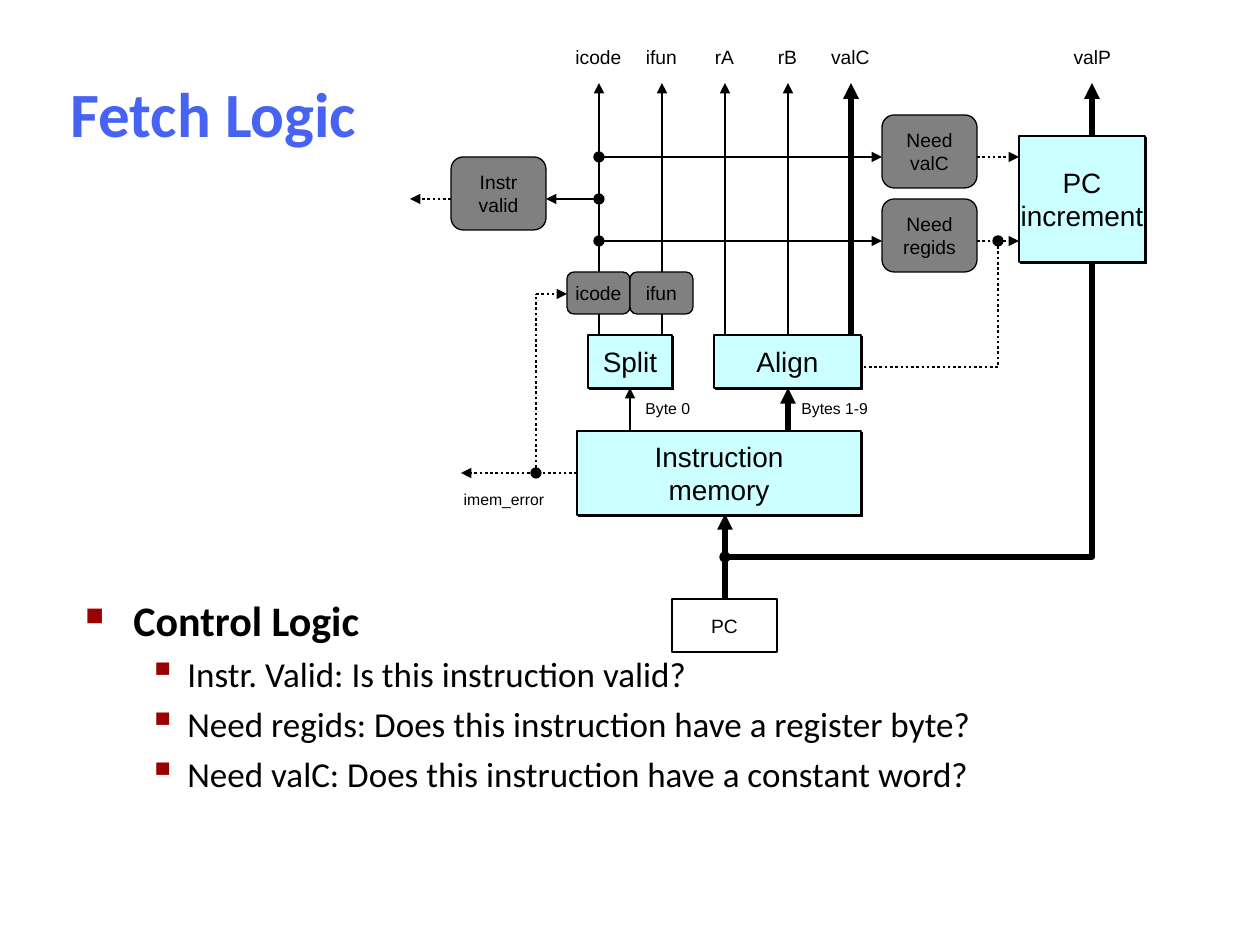
from dataclasses import dataclass
from typing import Optional

from lxml.etree import SubElement
from pptx import Presentation
from pptx.dml.color import RGBColor
from pptx.enum.dml import MSO_LINE
from pptx.enum.shapes import MSO_CONNECTOR, MSO_SHAPE
from pptx.enum.text import MSO_ANCHOR as Anchor, PP_ALIGN as Align
from pptx.oxml.ns import qn
from pptx.util import Emu, Pt

EMU_PER_PX = 914400 / 126
COLORS = {
    "black": "000000",
    "white": "FFFFFF",
    "unit": "CCFFFF",
    "control": "808080",
    "title": "4763F3",
    "bullet": "990000",
}


@dataclass(frozen=True)
class Style:
    shape: MSO_SHAPE
    fill: Optional[str]
    line: float
    size: int
    shadow: bool = False


@dataclass(frozen=True)
class Box:
    text: str
    left: int
    top: int
    width: int
    height: int
    style: Style


@dataclass(frozen=True)
class Wire:
    points: tuple
    weight: float = 1
    dotted: bool = False
    arrow: bool = True


@dataclass(frozen=True)
class Level:
    margin: int
    hanging: int
    char: str
    percent: int
    size: int
    before: float
    bold: bool


UNIT = Style(MSO_SHAPE.RECTANGLE, "unit", 0.75, 16, True)
CONTROL = Style(MSO_SHAPE.ROUNDED_RECTANGLE, "control", 0.75, 11)
REGISTER = Style(MSO_SHAPE.RECTANGLE, "white", 1, 11)
SIGNAL = Style(MSO_SHAPE.OVAL, "white", 0, 11)
ERROR = Style(MSO_SHAPE.OVAL, None, 0, 9)
DOT = Style(MSO_SHAPE.OVAL, "black", 0.75, 9)

COLUMN, STEP = 599, 63
OUTPUTS = ("icode", "ifun", "rA", "rB", "valC")
JUNCTIONS = ((599, 157), (599, 199), (599, 241), (725, 557), (998, 241), (536, 473))

WIRES = [
    Wire(((COLUMN + STEP * i, 335), (COLUMN + STEP * i, 83)), 3 if name == "valC" else 1)
    for i, name in enumerate(OUTPUTS)
] + [
    Wire(((1092, 136), (1092, 83)), 3),
    Wire(((725, 599), (725, 514)), 3),
    Wire(((725, 557), (1092, 557), (1092, 262)), 3, arrow=False),
    Wire(((599, 157), (882, 157))),
    Wire(((599, 241), (882, 241))),
    Wire(((599, 199), (546, 199))),
    Wire(((977, 157), (1019, 157)), 1.5, True),
    Wire(((977, 241), (1019, 241)), 1.5, True),
    Wire(((451, 199), (410, 199)), 1.5, True),
    Wire(((998, 241), (998, 367), (861, 367)), 1.5, True, False),
    Wire(((788, 431), (788, 388)), 3),
    Wire(((630, 431), (630, 388))),
    Wire(((577, 473), (461, 473)), 1.5, True),
    Wire(((536, 473), (536, 294)), 1.5, True, False),
    Wire(((536, 294), (567, 294)), 1.5, True),
]

BOXES = [
    Box(name, 567 + STEP * i, 30, STEP, 53, SIGNAL) for i, name in enumerate(OUTPUTS)
] + [
    Box("valP", 1061, 30, STEP, 53, SIGNAL),
    Box("imem_error", 441, 473, 126, 53, ERROR),
    Box("Instruction\nmemory", 577, 431, 284, 84, UNIT),
    Box("PC\nincrement", 1019, 136, 126, 126, UNIT),
    Box("Align", 714, 335, 147, 53, UNIT),
    Box("Split", 588, 335, 84, 53, UNIT),
    Box("PC", 672, 599, 105, 53, REGISTER),
    Box("Need\nvalC", 882, 115, 95, 73, CONTROL),
    Box("Need\nregids", 882, 199, 95, 73, CONTROL),
    Box("Instr\nvalid", 451, 157, 95, 73, CONTROL),
    Box("icode", 567, 272, STEP, 42, CONTROL),
    Box("ifun", 630, 272, STEP, 42, CONTROL),
] + [Box("", x - 5, y - 5, 10, 10, DOT) for x, y in JUNCTIONS]

HEADING = Level(48, 48, "■", 60, 24, 0, True)
ITEM = Level(102, 39, "▪", 110, 20, 4.5, False)
BULLETS = (
    ("Control Logic", HEADING),
    ("Instr. Valid: Is this instruction valid?", ITEM),
    ("Need regids: Does this instruction have a register byte?", ITEM),
    ("Need valC: Does this instruction have a constant word?", ITEM),
)


def px(value: int) -> Emu:
    return Emu(round(value * EMU_PER_PX))


def color(name: str) -> RGBColor:
    return RGBColor.from_string(COLORS[name])


def format_text(para, font: str, size: int, tint: str = "black", bold: bool = False) -> None:
    for span in para.runs:
        span.font.name = font
        span.font.size = Pt(size)
        span.font.bold = bold
        span.font.color.rgb = color(tint)


def add_text(page, text: str, left: int, top: int, width: int, height: int, wrap: bool):
    box = page.shapes.add_textbox(px(left), px(top), px(width), px(height))
    box.text_frame.word_wrap = wrap
    box.text_frame.text = text
    return box.text_frame


def draw_wire(page, wire: Wire) -> None:
    points = [(px(x), px(y)) for x, y in wire.points]
    if len(points) == 2:
        shape = page.shapes.add_connector(MSO_CONNECTOR.STRAIGHT, *points[0], *points[1])
        SubElement(shape.element.spPr, qn("a:effectLst"))
    else:
        builder = page.shapes.build_freeform(*points[0])
        builder.add_line_segments(points[1:], close=False)
        shape = builder.convert_to_shape()
        shape.fill.background()
        shape.shadow.inherit = False
    shape.line.color.rgb = color("black")
    shape.line.width = Pt(wire.weight)
    if wire.dotted:
        shape.line.dash_style = MSO_LINE.ROUND_DOT
    if wire.arrow:
        SubElement(shape.element.spPr.find(qn("a:ln")), qn("a:tailEnd"), type="triangle")


def draw_box(page, box: Box) -> None:
    style = box.style
    shape = page.shapes.add_shape(
        style.shape, px(box.left), px(box.top), px(box.width), px(box.height))
    shape.shadow.inherit = False
    if style.fill:
        shape.fill.solid()
        shape.fill.fore_color.rgb = color(style.fill)
    else:
        shape.fill.background()
    if style.line:
        shape.line.color.rgb = color("black")
        shape.line.width = Pt(style.line)
    else:
        shape.line.fill.background()
    if style.shadow:
        effects = shape.element.spPr.find(qn("a:effectLst"))
        shadow = SubElement(effects, qn("a:outerShdw"), dist=str(Pt(1.4)), dir="2700000")
        SubElement(shadow, qn("a:srgbClr"), val=COLORS["black"])
    if box.text:
        frame = shape.text_frame
        frame.word_wrap = False
        frame.vertical_anchor = Anchor.MIDDLE
        frame.text = box.text
        for para in frame.paragraphs:
            para.alignment = Align.CENTER
            format_text(para, "Arial", style.size)


def format_bullet(para, level: Level) -> None:
    para.space_before = Pt(level.before)
    properties = para._p.get_or_add_pPr()
    properties.set("marL", str(px(level.margin)))
    properties.set("indent", str(-px(level.hanging)))
    tint = SubElement(properties, qn("a:buClr"))
    SubElement(tint, qn("a:srgbClr"), val=COLORS["bullet"])
    SubElement(properties, qn("a:buSzPct"), val=str(level.percent * 1000))
    SubElement(properties, qn("a:buChar"), char=level.char)
    para.level = 0 if level is HEADING else 1
    format_text(para, "Calibri", level.size, bold=level.bold)


def main() -> None:
    deck = Presentation()
    deck.slide_width, deck.slide_height = px(1260), px(945)
    page = deck.slides.add_slide(deck.slide_layouts[6])

    title = add_text(page, "Fetch Logic", 49, 60, 329, 105, True)
    title.vertical_anchor = Anchor.MIDDLE
    title.paragraphs[0].alignment = Align.CENTER
    format_text(title.paragraphs[0], "Calibri", 36, "title", True)

    body = add_text(page, "\n".join(text for text, _ in BULLETS), 73, 588, 1072, 252, True)
    for para, (_, level) in zip(body.paragraphs, BULLETS):
        format_bullet(para, level)

    for wire in WIRES:
        draw_wire(page, wire)
    for box in BOXES:
        draw_box(page, box)
    for text, left, width in (("Bytes 1-9", 789, 92), ("Byte 0", 633, 71)):
        caption = add_text(page, text, left, 393, width, 32, False)
        format_text(caption.paragraphs[0], "Arial", 9)

    deck.save("out.pptx")


if __name__ == "__main__":
    main()
